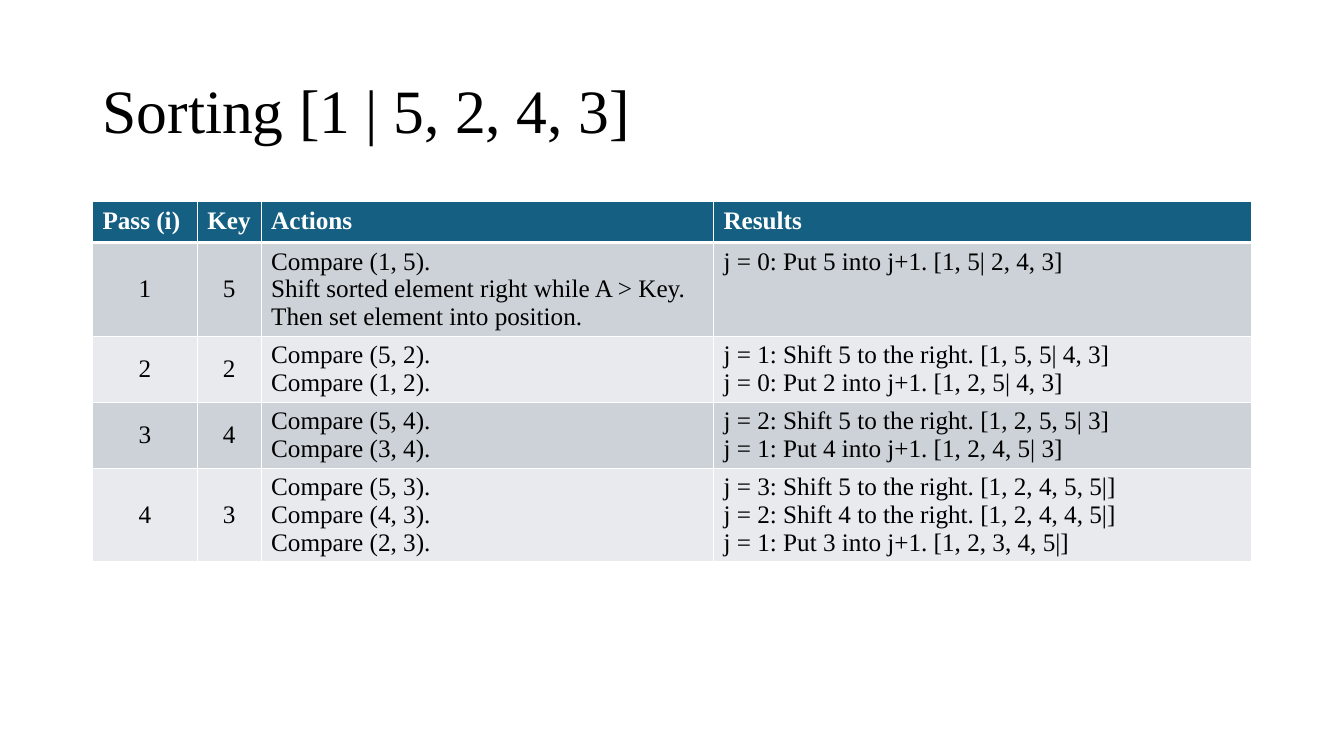
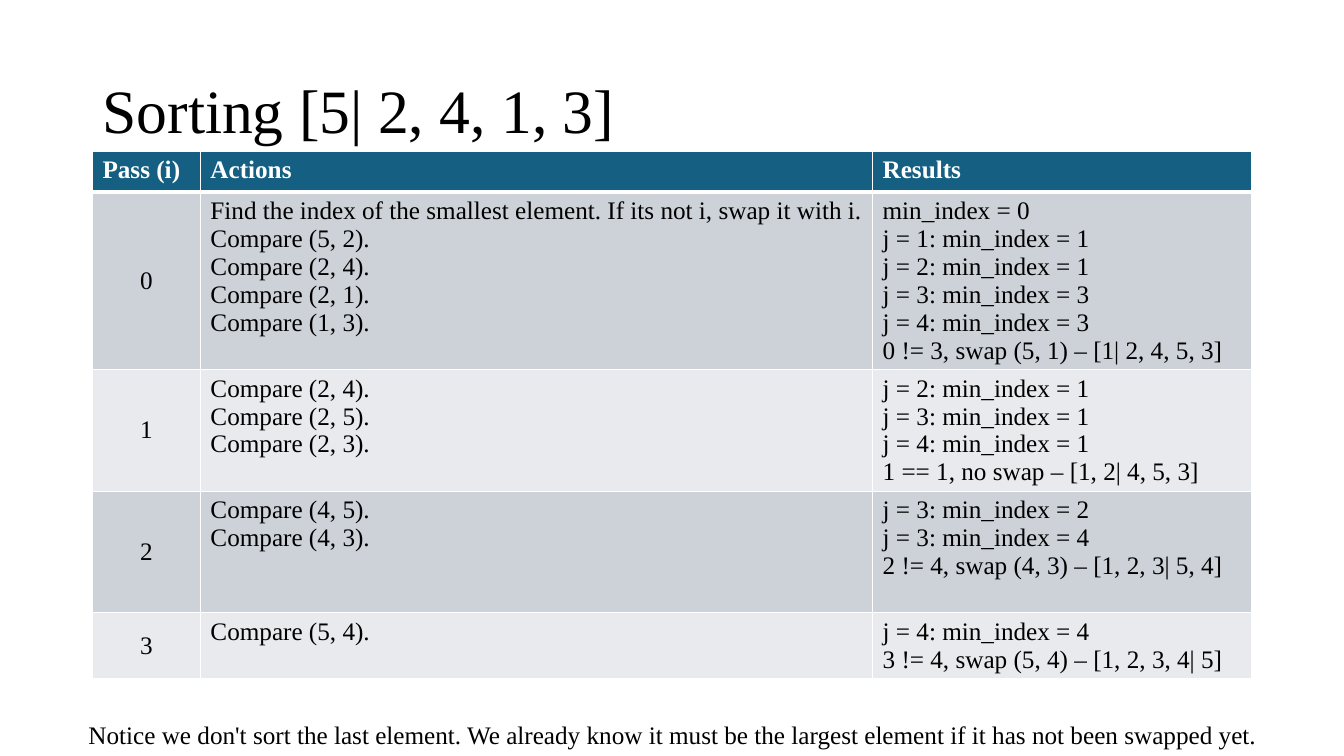
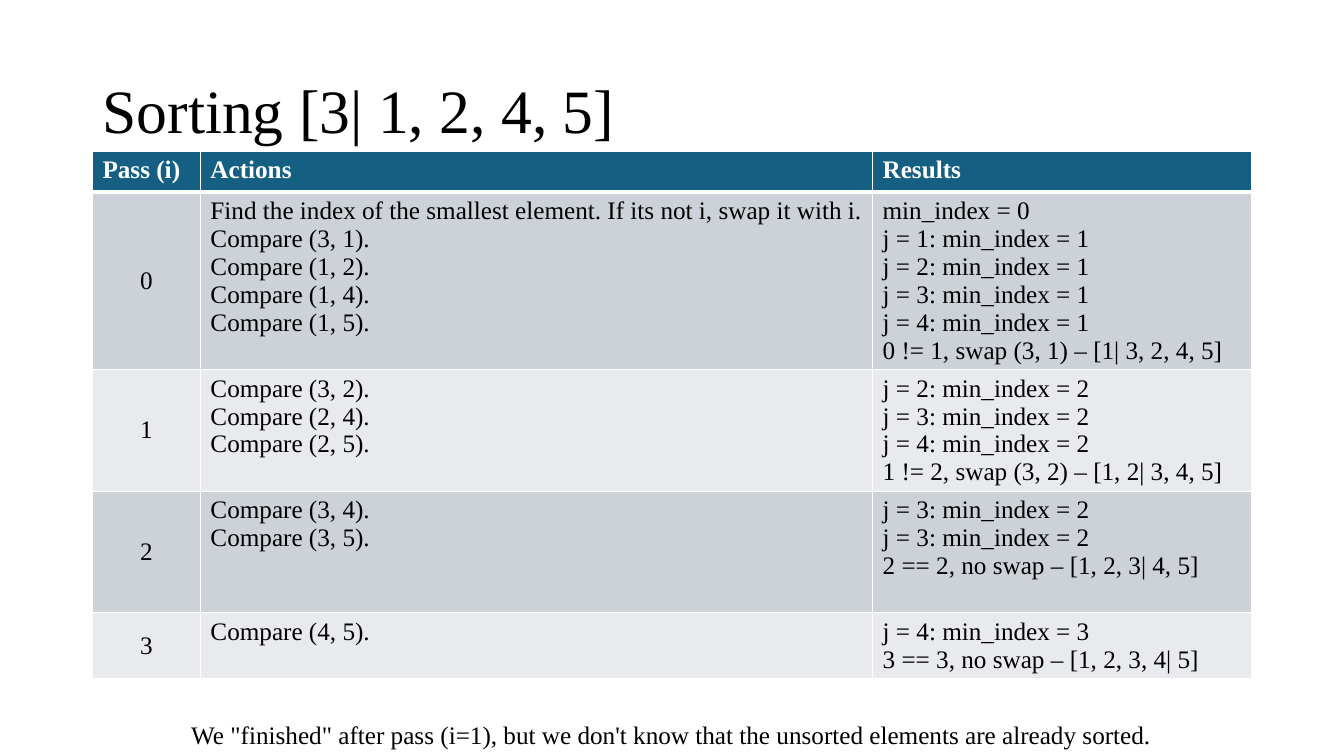
"""Build three slides that trace insertion sort and selection sort pass by pass."""
from dataclasses import dataclass

from lxml import etree
from pptx import Presentation
from pptx import util as u
from pptx.dml.color import RGBColor
from pptx.enum import text
from pptx.oxml.ns import qn


@dataclass(frozen=True)
class Theme:
    font: str = "Times New Roman"
    ink: str = "000000"
    paper: str = "FFFFFF"
    header: str = "156082"
    bands: tuple = ("CCD2D8", "E8EAED")
    title_size: int = 44
    text_size: int = 18
    rule: int = 1
    header_rule: int = 3


theme = Theme()


def style(paragraph, color, size=theme.text_size, bold=False):
    font = paragraph.font
    font.name, font.size, font.bold = theme.font, u.Pt(size), bold
    font.color.rgb = RGBColor.from_string(color)


def add_borders(cell, top, bottom):
    properties = cell._tc.get_or_add_tcPr()
    widths = {"lnL": theme.rule, "lnR": theme.rule, "lnT": top, "lnB": bottom}
    for side, width in widths.items():
        line = etree.SubElement(properties, qn(f"a:{side}"), w=str(u.Pt(width)))
        fill = etree.SubElement(line, qn("a:solidFill"))
        etree.SubElement(fill, qn("a:srgbClr"), val=theme.paper)


LEFT, WIDTH = 2.33, 29.21
HEADER_HEIGHT, LINE_HEIGHT, CELL_PADDING = 1.03, 0.7, 0.26
NOTE_TOP, NOTE_HEIGHT = 18.01, 1.02
FIND_SMALLEST = "Find the index of the smallest element. If its not i, swap it with i."

insertion = dict(
    top=5.08,
    headings=("Pass (i)", "Key", "Actions", "Results"),
    columns=(2.64, 1.61, 11.4, 13.56),
    lines=(3, 2, 2, 3),
)
selection = dict(
    top=3.81,
    headings=("Pass (i)", "Actions", "Results"),
    columns=(2.72, 16.94, 9.55),
    lines=(6, 4, 4, 2),
)

traces = [
    dict(
        insertion,
        title="Sorting [1 | 5, 2, 4, 3]",
        passes=[
            ("1", "5",
             ["Compare (1, 5).",
              "Shift sorted element right while A > Key.",
              "Then set element into position."],
             ["j = 0: Put 5 into j+1. [1, 5| 2, 4, 3]"]),
            ("2", "2",
             ["Compare (5, 2).", "Compare (1, 2)."],
             ["j = 1: Shift 5 to the right. [1, 5, 5| 4, 3]",
              "j = 0: Put 2 into j+1. [1, 2, 5| 4, 3]"]),
            ("3", "4",
             ["Compare (5, 4).", "Compare (3, 4)."],
             ["j = 2: Shift 5 to the right. [1, 2, 5, 5| 3]",
              "j = 1: Put 4 into j+1. [1, 2, 4, 5| 3]"]),
            ("4", "3",
             ["Compare (5, 3).", "Compare (4, 3).", "Compare (2, 3)."],
             ["j = 3: Shift 5 to the right. [1, 2, 4, 5, 5|]",
              "j = 2: Shift 4 to the right. [1, 2, 4, 4, 5|]",
              "j = 1: Put 3 into j+1. [1, 2, 3, 4, 5|]"]),
        ],
    ),
    dict(
        selection,
        title="Sorting [5| 2, 4, 1, 3]",
        passes=[
            ("0",
             [FIND_SMALLEST, "Compare (5, 2).", "Compare (2, 4).",
              "Compare (2, 1).", "Compare (1, 3)."],
             ["min_index = 0", "j = 1: min_index = 1", "j = 2: min_index = 1",
              "j = 3: min_index = 3", "j = 4: min_index = 3",
              "0 != 3, swap (5, 1) – [1| 2, 4, 5, 3]"]),
            ("1",
             ["Compare (2, 4).", "Compare (2, 5).", "Compare (2, 3)."],
             ["j = 2: min_index = 1", "j = 3: min_index = 1",
              "j = 4: min_index = 1", "1 == 1, no swap – [1, 2| 4, 5, 3]"]),
            ("2",
             ["Compare (4, 5).", "Compare (4, 3)."],
             ["j = 3: min_index = 2", "j = 3: min_index = 4",
              "2 != 4, swap (4, 3) – [1, 2, 3| 5, 4]"]),
            ("3",
             ["Compare (5, 4)."],
             ["j = 4: min_index = 4", "3 != 4, swap (5, 4) – [1, 2, 3, 4| 5]"]),
        ],
        note="Notice we don't sort the last element. We already know it must be "
             "the largest element if it has not been swapped yet.",
        note_left=1.98,
        note_width=31.5,
    ),
    dict(
        selection,
        title="Sorting [3| 1, 2, 4, 5]",
        passes=[
            ("0",
             [FIND_SMALLEST, "Compare (3, 1).", "Compare (1, 2).",
              "Compare (1, 4).", "Compare (1, 5)."],
             ["min_index = 0", "j = 1: min_index = 1", "j = 2: min_index = 1",
              "j = 3: min_index = 1", "j = 4: min_index = 1",
              "0 != 1, swap (3, 1) – [1| 3, 2, 4, 5]"]),
            ("1",
             ["Compare (3, 2).", "Compare (2, 4).", "Compare (2, 5)."],
             ["j = 2: min_index = 2", "j = 3: min_index = 2",
              "j = 4: min_index = 2", "1 != 2, swap (3, 2) – [1, 2| 3, 4, 5]"]),
            ("2",
             ["Compare (3, 4).", "Compare (3, 5)."],
             ["j = 3: min_index = 2", "j = 3: min_index = 2",
              "2 == 2, no swap – [1, 2, 3| 4, 5]"]),
            ("3",
             ["Compare (4, 5)."],
             ["j = 4: min_index = 3", "3 == 3, no swap – [1, 2, 3, 4| 5]"]),
        ],
        note='We "finished" after pass (i=1), but we don\'t know that the unsorted '
             "elements are already sorted.",
        note_left=4.57,
        note_width=24.74,
    ),
]

deck = Presentation()
deck.slide_width, deck.slide_height = u.Cm(33.87), u.Cm(19.05)
title_only = deck.slide_layouts.get_by_name("Title Only")

for trace in traces:
    slide = deck.slides.add_slide(title_only)
    title = slide.shapes.title
    title.left, title.top = u.Cm(LEFT), u.Cm(1.01)
    title.width, title.height = u.Cm(WIDTH), u.Cm(3.68)
    title.text_frame.text = trace["title"]
    title.text_frame.vertical_anchor = text.MSO_ANCHOR.MIDDLE
    heading = title.text_frame.paragraphs[0]
    heading.alignment, heading.line_spacing = text.PP_ALIGN.LEFT, 0.9
    style(heading, theme.ink, theme.title_size)

    rows = [trace["headings"], *trace["passes"]]
    heights = [HEADER_HEIGHT] + [CELL_PADDING + LINE_HEIGHT * n for n in trace["lines"]]
    columns = trace["columns"]
    steps = slide.shapes.add_table(
        len(rows), len(columns), u.Cm(LEFT), u.Cm(trace["top"]),
        u.Cm(WIDTH), u.Cm(sum(heights))).table
    steps.horz_banding = False
    for column, width in zip(steps.columns, columns):
        column.width = u.Cm(width)

    for r, (entries, height) in enumerate(zip(rows, heights)):
        steps.rows[r].height = u.Cm(height)
        is_header = r == 0
        fill = theme.header if is_header else theme.bands[(r - 1) % 2]
        for c, entry in enumerate(entries):
            cell = steps.cell(r, c)
            cell.text = entry if isinstance(entry, str) else "\n".join(entry)
            add_borders(cell,
                        top=theme.header_rule if r == 1 else theme.rule,
                        bottom=theme.header_rule if is_header else theme.rule)
            cell.fill.solid()
            cell.fill.fore_color.rgb = RGBColor.from_string(fill)
            is_number = not is_header and isinstance(entry, str)
            if is_number:
                cell.vertical_anchor = text.MSO_ANCHOR.MIDDLE
            for line in cell.text_frame.paragraphs:
                if is_number:
                    line.alignment = text.PP_ALIGN.CENTER
                style(line, theme.paper if is_header else theme.ink, bold=is_header)

    if "note" in trace:
        note = slide.shapes.add_textbox(
            u.Cm(trace["note_left"]), u.Cm(NOTE_TOP),
            u.Cm(trace["note_width"]), u.Cm(NOTE_HEIGHT)).text_frame
        note.word_wrap = True
        note.text = trace["note"]
        style(note.paragraphs[0], theme.ink)

deck.save("out.pptx")
